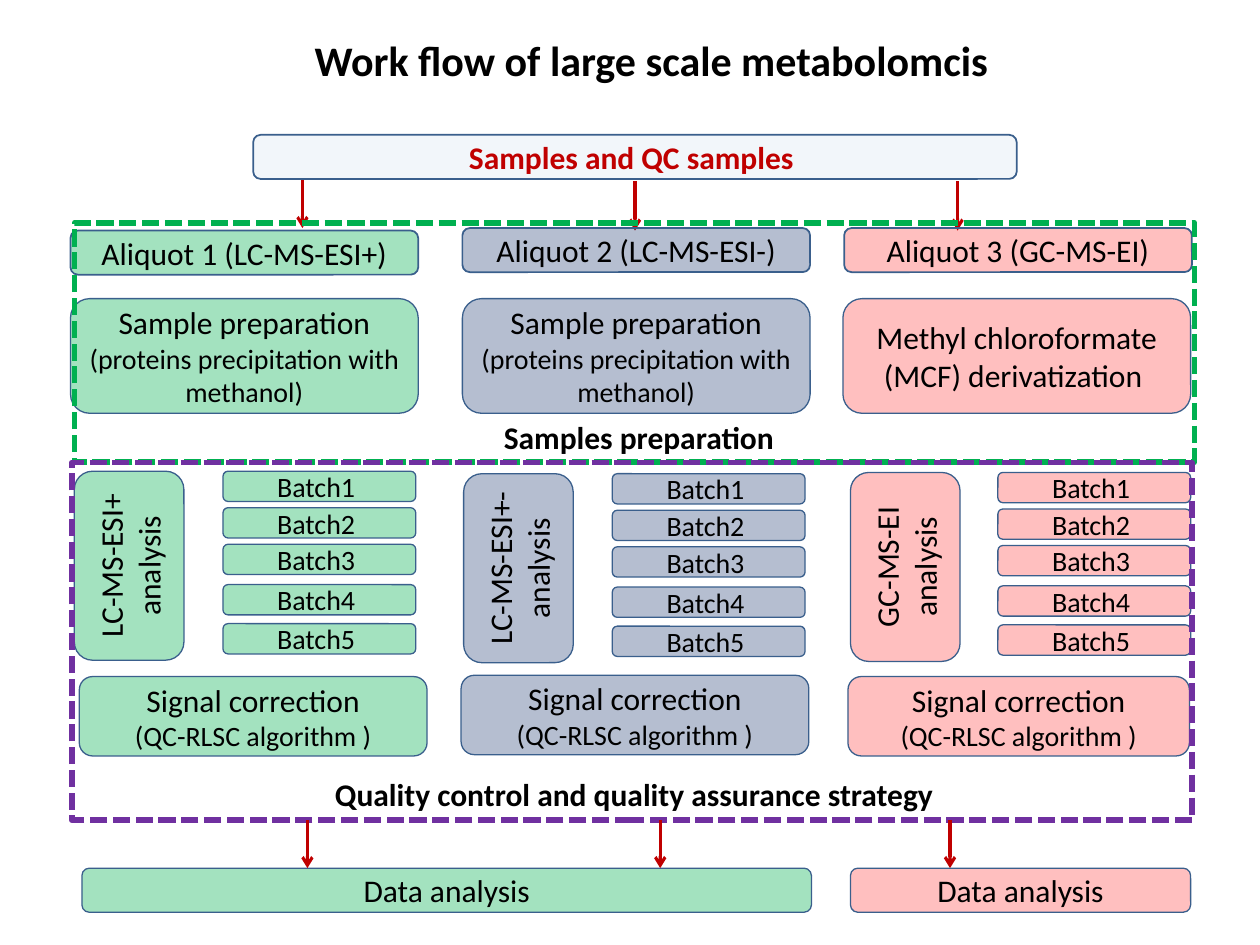
from dataclasses import dataclass

from pptx import Presentation
from pptx.dml.color import RGBColor
from pptx.enum.dml import MSO_LINE
from pptx.enum.shapes import MSO_CONNECTOR, MSO_SHAPE
from pptx.enum.text import MSO_ANCHOR, PP_ALIGN
from pptx.oxml.ns import qn
from pptx.util import Inches, Pt
from lxml.etree import SubElement

GREEN = RGBColor(0x00, 0xB0, 0x50)
NAVY = RGBColor(0x00, 0x20, 0x60)
RED = RGBColor(0xFF, 0x00, 0x00)
BLUE = RGBColor(0x4F, 0x81, 0xBD)
OUTLINE = RGBColor(0x3A, 0x5F, 0x8C)
DARK_RED = RGBColor(0xC0, 0x00, 0x00)
PURPLE = RGBColor(0x70, 0x30, 0xA0)
BLACK = RGBColor(0x00, 0x00, 0x00)

FONT = "Calibri"
GRID_COLUMNS, GRID_ROWS = 100, 75
CELL = Inches(10) // GRID_COLUMNS
BAR_HEIGHT = 3.5
LANE_WIDTH = 27.6


@dataclass(frozen=True)
class Area:
    """A place on the slide, in grid columns and rows."""
    column: float
    row: float
    columns: float
    rows: float

    def lengths(self) -> list[int]:
        return [round(value * CELL)
                for value in (self.column, self.row, self.columns, self.rows)]


@dataclass(frozen=True)
class Tint:
    color: RGBColor
    opacity: int


@dataclass(frozen=True)
class Lane:
    tint: Tint
    aliquot: str
    aliquot_at: tuple[float, float]
    preparation: str
    preparation_column: float
    analysis: str
    analysis_at: tuple[float, float]
    batch_column: float
    batch_shift: float
    correction: Area


GREEN_TINT, NAVY_TINT, RED_TINT = Tint(GREEN, 36), Tint(NAVY, 29), Tint(RED, 25)
PRECIPITATION = "Sample preparation\n(proteins precipitation with methanol)"
BATCH_ROWS = (37.4, 40.3, 43.2, 46.4, 49.5)
LANES = (
    Lane(GREEN_TINT, "Aliquot 1 (LC-MS-ESI+)", (5.6, 18.3), PRECIPITATION, 5.6,
         "LC-MS-ESI+ analysis", (5.9, 37.4), 17.7, 0,
         Area(6.3, 53.7, LANE_WIDTH, 6.3)),
    Lane(NAVY_TINT, "Aliquot 2 (LC-MS-ESI-)", (36.7, 18.1), PRECIPITATION, 36.7,
         "LC-MS-ESI+-analysis", (36.8, 37.6), 48.6, 0.2,
         Area(36.6, 53.6, LANE_WIDTH, 6.3)),
    Lane(RED_TINT, "Aliquot 3 (GC-MS-EI)", (67, 18.1),
         "Methyl chloroformate (MCF) derivatization ", 66.9,
         "GC-MS-EI\nanalysis", (67.5, 37.5), 79.2, 0.1,
         Area(67.3, 53.7, 27.1, 6.3)),
)


def write(text_frame, text: str, sizes: tuple[float, ...] = (18,),
          color: RGBColor = BLACK, bold: bool = False,
          alignment: PP_ALIGN = PP_ALIGN.CENTER) -> None:
    """Set the text; the last size holds for all remaining paragraphs."""
    text_frame.text = text
    for index, paragraph in enumerate(text_frame.paragraphs):
        paragraph.alignment = alignment
        for run in paragraph.runs:
            run.font.name = FONT
            run.font.size = Pt(sizes[min(index, len(sizes) - 1)])
            run.font.bold = bold
            run.font.color.rgb = color


def add_box(slide, area: Area, tint: Tint, text: str,
            sizes: tuple[float, ...] = (18,), color: RGBColor = BLACK,
            bold: bool = False, line_width: float = 0.75):
    shape = slide.shapes.add_shape(MSO_SHAPE.ROUNDED_RECTANGLE, *area.lengths())
    shape.shadow.inherit = False
    shape.fill.solid()
    shape.fill.fore_color.rgb = tint.color
    fill_color = shape.fill._xPr.find(qn("a:solidFill")).find(qn("a:srgbClr"))
    SubElement(fill_color, qn("a:alpha")).set("val", str(tint.opacity * 1000))
    shape.line.color.rgb = OUTLINE
    shape.line.width = Pt(line_width)
    shape.text_frame.word_wrap = True
    shape.text_frame.vertical_anchor = MSO_ANCHOR.MIDDLE
    write(shape.text_frame, text, sizes, color, bold)
    return shape


def add_frame(slide, area: Area, color: RGBColor) -> None:
    shape = slide.shapes.add_shape(MSO_SHAPE.RECTANGLE, *area.lengths())
    shape.shadow.inherit = False
    shape.fill.background()
    shape.line.color.rgb = color
    shape.line.width = Pt(3.25)
    shape.line.dash_style = MSO_LINE.SQUARE_DOT


def add_down_arrow(slide, column: float, top: float, bottom: float) -> None:
    x, start, end = (round(value * CELL) for value in (column, top, bottom))
    arrow = slide.shapes.add_connector(MSO_CONNECTOR.STRAIGHT, x, start, x, end)
    arrow.line.color.rgb = DARK_RED
    arrow.line.width = Pt(1.75)
    SubElement(arrow.line._get_or_add_ln(), qn("a:tailEnd")).set("type", "arrow")
    SubElement(arrow._element.spPr, qn("a:effectLst"))


def add_caption(slide, area: Area, text: str, wrap: bool) -> None:
    text_box = slide.shapes.add_textbox(*area.lengths())
    text_box.text_frame.word_wrap = wrap
    write(text_box.text_frame, text, bold=True, alignment=PP_ALIGN.LEFT)


def add_lane(slide, lane: Lane) -> None:
    add_box(slide, Area(*lane.aliquot_at, LANE_WIDTH, BAR_HEIGHT), lane.tint,
            lane.aliquot, line_width=1)
    add_box(slide, Area(lane.preparation_column, 23.7, LANE_WIDTH, 9.1),
            lane.tint, lane.preparation, (18, 16))
    analysis = add_box(slide, Area(*lane.analysis_at, 8.7, 15), lane.tint,
                       lane.analysis)
    analysis.text_frame._txBody.bodyPr.set("vert", "vert270")
    for number, row in enumerate(BATCH_ROWS, start=1):
        add_box(slide, Area(lane.batch_column, row + lane.batch_shift, 15.3, 2.4),
                lane.tint, f"Batch{number} ", (16,))
    add_box(slide, lane.correction, lane.tint,
            "Signal correction\n(QC-RLSC algorithm )", (18, 16))


def add_title(slide, text: str) -> None:
    title = slide.shapes.title
    title.left, title.top, title.width, title.height = Area(
        23.7, 2.4, 56, 4.6).lengths()
    title.text_frame.word_wrap = False
    title.text_frame.vertical_anchor = MSO_ANCHOR.MIDDLE
    write(title.text_frame, text, (24,), bold=True)


def main() -> None:
    presentation = Presentation()
    presentation.slide_width = GRID_COLUMNS * CELL
    presentation.slide_height = GRID_ROWS * CELL
    slide = presentation.slides.add_slide(presentation.slide_layouts[5])

    add_title(slide, "Work flow of large scale metabolomcis")
    add_box(slide, Area(20.1, 10.7, 60.6, BAR_HEIGHT), Tint(BLUE, 7),
            "Samples and QC samples ", color=DARK_RED, bold=True, line_width=1)
    for column, top, bottom in ((24, 14.3, 18.1), (50.4, 14.4, 18.3),
                                (76, 14.4, 18.3)):
        add_down_arrow(slide, column, top, bottom)
    for lane in LANES:
        add_lane(slide, lane)

    add_frame(slide, Area(5.9, 17.7, 88.9, 19), GREEN)
    add_caption(slide, Area(39, 32.7, 30, 4), "Samples preparation", wrap=True)
    add_frame(slide, Area(5.7, 36.7, 88.9, 28.4), PURPLE)
    add_caption(slide, Area(25.6, 61, 49.9, 4),
                "Quality control and quality assurance strategy", wrap=False)

    for column, columns, tint in ((6.5, 57.9, GREEN_TINT), (67.5, 27, RED_TINT)):
        add_box(slide, Area(column, 68.9, columns, BAR_HEIGHT), tint,
                "Data analysis")
    for column in (24.4, 52.4, 75.4):
        add_down_arrow(slide, column, 65.1, 68.9)

    presentation.save("out.pptx")


if __name__ == "__main__":
    main()
